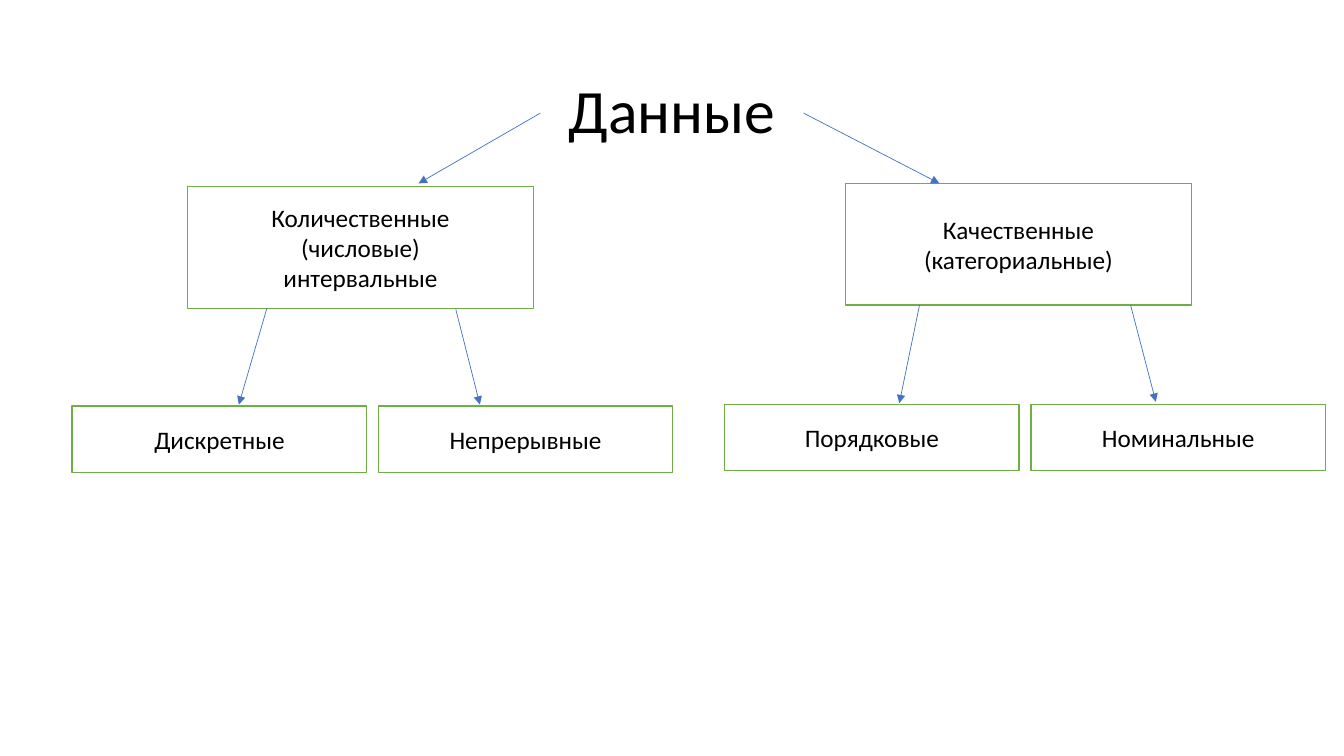
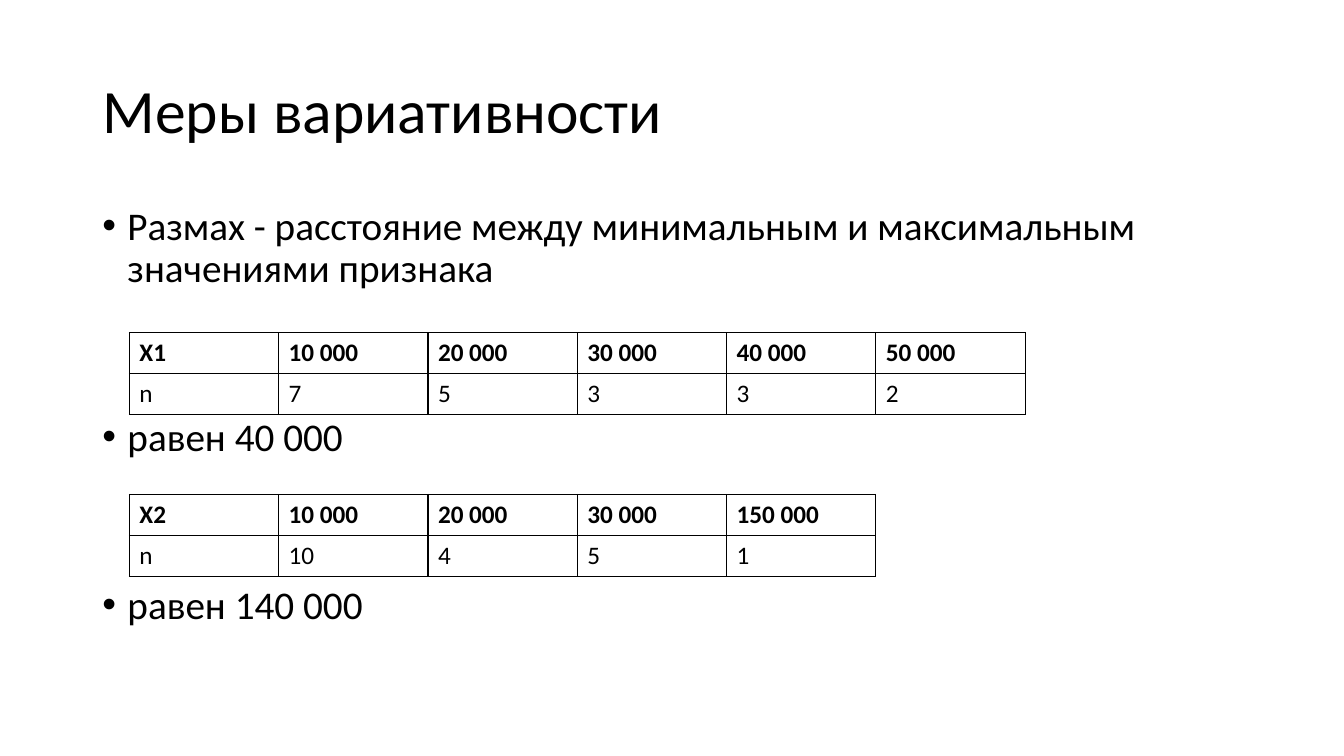
from lxml.etree import SubElement
from pptx import Presentation
from pptx.dml.color import RGBColor
from pptx.enum.shapes import MSO_CONNECTOR, MSO_SHAPE
from pptx.enum.text import MSO_ANCHOR as Anchor, MSO_AUTO_SIZE as AutoSize, PP_ALIGN as Align
from pptx.oxml.ns import qn
from pptx.util import Pt

# Shared style
FONT = "Calibri"
BLACK, WHITE, GREEN, BLUE = "000000", "FFFFFF", "70AD47", "4472C4"
TITLE_SIZE, BODY_SIZE, LABEL_SIZE = 44, 28, 18


def color(hex_code):
    return RGBColor.from_string(hex_code)


class SlideBuilder:
    def __init__(self):
        self.deck = Presentation()
        self.deck.slide_width, self.deck.slide_height = Pt(960), Pt(540)
        self.page = None

    def add_span(self, para, text, size, bold=False):
        span = para.add_run()
        span.text = text
        span.font.name, span.font.size, span.font.bold = FONT, Pt(size), bold
        span.font.color.rgb = color(BLACK)

    def add_page(self, title, left=66, width=828, align=Align.LEFT):
        self.page = self.deck.slides.add_slide(self.deck.slide_layouts[5])
        box = self.page.shapes.title
        box.left, box.top, box.width, box.height = Pt(left), Pt(28.8), Pt(width), Pt(104.4)
        frame = box.text_frame
        frame.auto_size, frame.word_wrap = AutoSize.NONE, True
        frame.vertical_anchor = Anchor.MIDDLE
        para = frame.paragraphs[0]
        para.alignment, para.line_spacing = align, 0.9
        self.add_span(para, title, TITLE_SIZE)

    def box(self, lines, left, top, width, height):
        box = self.page.shapes.add_shape(
            MSO_SHAPE.RECTANGLE, Pt(left), Pt(top), Pt(width), Pt(height))
        box.shadow.inherit = False
        box.fill.solid()
        box.fill.fore_color.rgb = color(WHITE)
        box.line.color.rgb, box.line.width = color(GREEN), Pt(1)
        frame = box.text_frame
        frame.word_wrap, frame.vertical_anchor = True, Anchor.MIDDLE
        for index, line in enumerate(lines):
            para = frame.add_paragraph() if index else frame.paragraphs[0]
            para.alignment = Align.CENTER
            self.add_span(para, line, LABEL_SIZE)

    def arrow(self, x1, y1, x2, y2):
        arrow = self.page.shapes.add_connector(
            MSO_CONNECTOR.STRAIGHT, Pt(x1), Pt(y1), Pt(x2), Pt(y2))
        arrow.line.color.rgb, arrow.line.width = color(BLUE), Pt(0.5)
        properties = arrow._element.spPr
        SubElement(properties.find(qn("a:ln")), qn("a:tailEnd"), type="triangle")
        SubElement(properties, qn("a:effectLst"))

    def bullets(self, items, left, top, width, height, gap):
        box = self.page.shapes.add_textbox(Pt(left), Pt(top), Pt(width), Pt(height))
        frame = box.text_frame
        frame.word_wrap = True
        for index, item in enumerate(items):
            para = frame.add_paragraph() if index else frame.paragraphs[0]
            para.line_spacing, para.space_before = 0.9, Pt(gap if index else 0)
            marks = para._p.get_or_add_pPr()
            marks.set("marL", str(Pt(18)))
            marks.set("indent", str(Pt(-18)))
            SubElement(marks, qn("a:buFont"), typeface="Arial")
            SubElement(marks, qn("a:buChar"), char="•")
            self.add_span(para, item, BODY_SIZE)

    def table(self, rows, left, top, column_width=106.66, row_height=29.2):
        columns = len(rows[0])
        table = self.page.shapes.add_table(
            len(rows), columns, Pt(left), Pt(top),
            Pt(column_width * columns), Pt(row_height * len(rows))).table
        table.first_row = table.horz_banding = False
        for column in table.columns:
            column.width = Pt(column_width)
        for row_index, values in enumerate(rows):
            table.rows[row_index].height = Pt(row_height)
            for column_index, value in enumerate(values):
                cell = table.cell(row_index, column_index)
                self.add_span(cell.text_frame.paragraphs[0], value, LABEL_SIZE, row_index == 0)
                self.borders(cell)
                cell.fill.background()

    def borders(self, cell):
        properties = cell._tc.get_or_add_tcPr()
        for side in ("lnL", "lnR", "lnT", "lnB"):
            line = SubElement(properties, qn(f"a:{side}"), w=str(Pt(1)))
            fill = SubElement(line, qn("a:solidFill"))
            SubElement(fill, qn("a:srgbClr"), val=BLACK)


slides = SlideBuilder()

# Slide 1: tree of data types
slides.add_page("Данные", left=386, width=188, align=Align.CENTER)
branches = [
    (["Количественные", "(числовые)", "интервальные"], 134, 133.2,
     [("Дискретные", 51.6), ("Непрерывные", 270.2)], 290),
    (["Качественные", "(категориальные)"], 604, 131,
     [("Порядковые", 517.6), ("Номинальные", 736.4)], 288.8),
]
for lines, left, top, leaves, leaf_top in branches:
    slides.box(lines, left, top, 247, 87)
    for label, leaf_left in leaves:
        slides.box([label], leaf_left, leaf_top, 210.4, 47.5)

for ends in [
    (386, 80.8, 299, 131), (574, 80.8, 671, 131),
    (190.6, 220.4, 170.6, 289), (325.6, 221, 342.8, 289),
    (656.8, 218, 642.4, 288), (807.6, 218, 825.6, 287),
]:
    slides.arrow(*ends)

# Slide 2: range of a variable
slides.add_page("Меры вариативности")
slides.bullets(
    ["Размах - расстояние между минимальным и максимальным значениями признака",
     "равен 40 000", "равен 140 000"],
    66, 144, 828, 342.6, gap=90)
slides.table([["Х1", "10 000", "20 000", "30 000", "40 000", "50 000"],
              ["n", "7", "5", "3", "3", "2"]], 92.4, 237.6)
slides.table([["X2", "10 000", "20 000", "30 000", "150 000"],
              ["n", "10", "4", "5", "1"]], 92.4, 353.2)

slides.deck.save("out.pptx")
